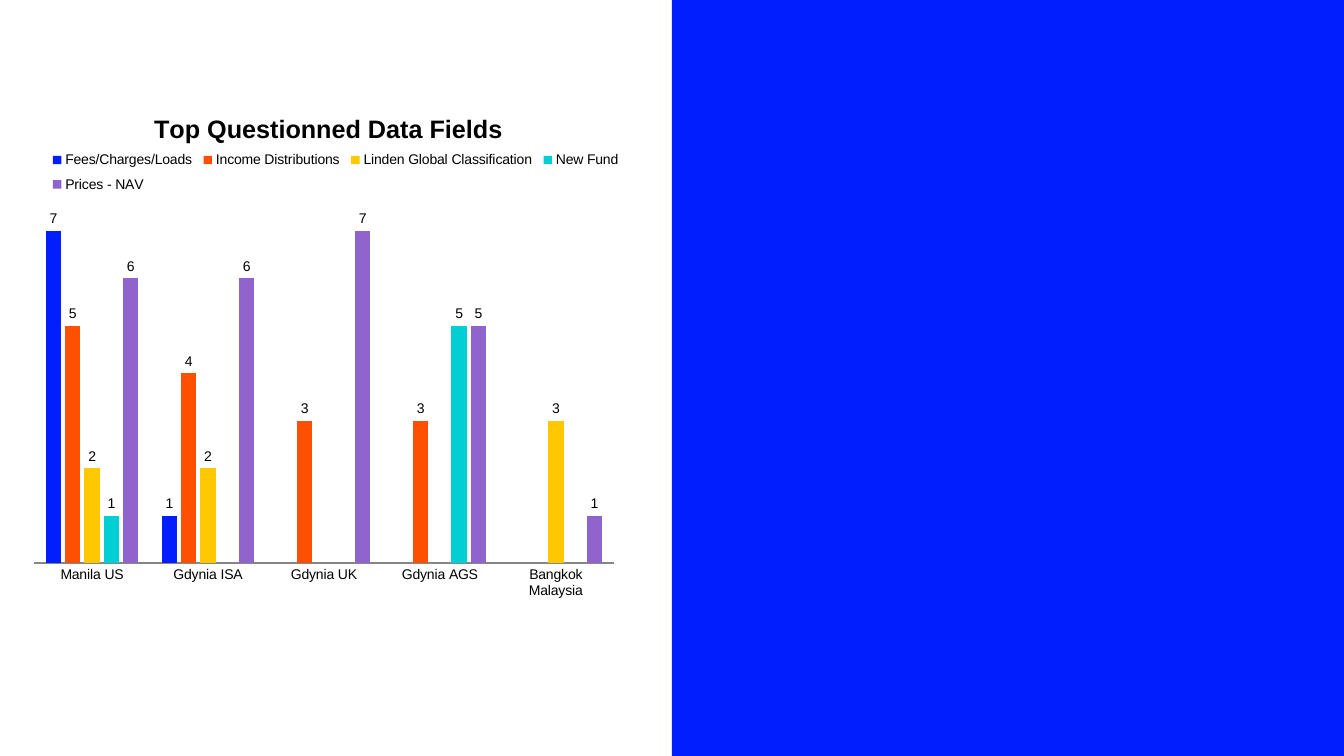
from lxml import etree
from pptx import Presentation
from pptx.chart.data import CategoryChartData
from pptx.dml.color import RGBColor
from pptx.enum.chart import XL_CHART_TYPE, XL_LABEL_POSITION, XL_LEGEND_POSITION, XL_TICK_MARK
from pptx.enum.shapes import MSO_SHAPE
from pptx.oxml.ns import qn
from pptx.util import Cm, Pt

COLUMN = XL_CHART_TYPE.COLUMN_CLUSTERED
ABOVE = XL_LABEL_POSITION.OUTSIDE_END
TOP = XL_LEGEND_POSITION.TOP
NONE = XL_TICK_MARK.NONE
RECT = MSO_SHAPE.RECTANGLE

WIDE, HIGH = 33.87, 19.05
BLUE = "001EFF"
TITLE = "Top Questionned Data Fields"
SITES = ["Manila US", "Gdynia ISA", "Gdynia UK", "Gdynia AGS", "Bangkok Malaysia"]
FIELDS = [
    ("Fees/Charges/Loads", BLUE, (7, 1, None, None, None)),
    ("Income Distributions", "FF5000", (5, 4, 3, 3, None)),
    ("Linden Global Classification", "FFC800", (2, 2, None, None, 3)),
    ("New Fund", "00D0D3", (1, None, None, 5, None)),
    ("Prices - NAV", "9064CD", (6, 6, 7, 5, 1)),
]
CHART = (0.56, 2.21, 15.21, 13.13)
PARTS = [
    ("title", 1, (3.77, 2.72)),
    ("legend", 1, (1.16, 3.62, 14.6, 1.44)),
    ("plotArea", 0, (0.86, 5.82, 14.61, 8.37)),
]


def color(code):
    return RGBColor.from_string(code)


def paint(fill, code):
    fill.solid()
    fill.fore_color.rgb = color(code)


def style(font, size=10, bold=False, code="000000"):
    font.name = "Arial"
    font.size = Pt(size)
    font.bold = bold
    font.color.rgb = color(code)


def write(frame, text, **form):
    run = frame.paragraphs[0].add_run()
    run.text = text
    style(run.font, **form)


def place(chart, name, spot, box):
    part = chart.element.find(".//" + qn("c:" + name))
    for old in part.findall(qn("c:layout")):
        part.remove(old)
    layout = etree.Element(qn("c:layout"))
    manual = etree.SubElement(layout, qn("c:manualLayout"))
    left, top, wide, high = CHART
    shares = [(box[0] - left) / wide, (box[1] - top) / high]
    shares += [size / full for size, full in zip(box[2:], (wide, high))]
    rules = [("xMode", "edge"), ("yMode", "edge")]
    if name == "plotArea":
        rules.insert(0, ("layoutTarget", "inner"))
    rules += [(key, str(share)) for key, share in zip("xywh", shares)]
    for key, value in rules:
        etree.SubElement(manual, qn("c:" + key)).set("val", value)
    part.insert(spot, layout)


def add_panel(slide):
    panel = slide.shapes.add_shape(RECT, Cm(WIDE / 2), 0, Cm(WIDE / 2), Cm(HIGH))
    panel.shadow.inherit = False
    paint(panel.fill, BLUE)
    panel.line.fill.background()


def add_bars(slide):
    data = CategoryChartData()
    data.categories = SITES
    for name, code, counts in FIELDS:
        data.add_series(name, counts)
    chart = slide.shapes.add_chart(COLUMN, *map(Cm, CHART), data).chart
    style(chart.font)
    chart.has_title = True
    write(chart.chart_title.text_frame, TITLE, size=18, bold=True)
    chart.has_legend = True
    chart.legend.position = TOP
    chart.legend.include_in_layout = False

    scale = chart.value_axis
    scale.minimum_scale, scale.maximum_scale = 0, 7
    scale.has_major_gridlines = False
    scale.visible = False
    axis = chart.category_axis
    axis.major_tick_mark = axis.minor_tick_mark = NONE
    axis.format.line.width = Pt(0.75)
    axis.format.line.color.rgb = color("868686")

    plot = chart.plots[0]
    plot.gap_width = 150
    plot.overlap = -25
    plot.vary_by_categories = False
    for bars, (name, code, counts) in zip(plot.series, FIELDS):
        paint(bars.format.fill, code)
        bars.invert_if_negative = False
        labels = bars.data_labels
        labels.show_value = True
        labels.position = ABOVE
        style(labels.font)
    for name, spot, box in PARTS:
        place(chart, name, spot, box)


def main():
    deck = Presentation()
    deck.slide_width, deck.slide_height = Cm(WIDE), Cm(HIGH)
    slide = deck.slides.add_slide(deck.slide_layouts[6])
    add_panel(slide)
    add_bars(slide)
    deck.save("out.pptx")


if __name__ == "__main__":
    main()
